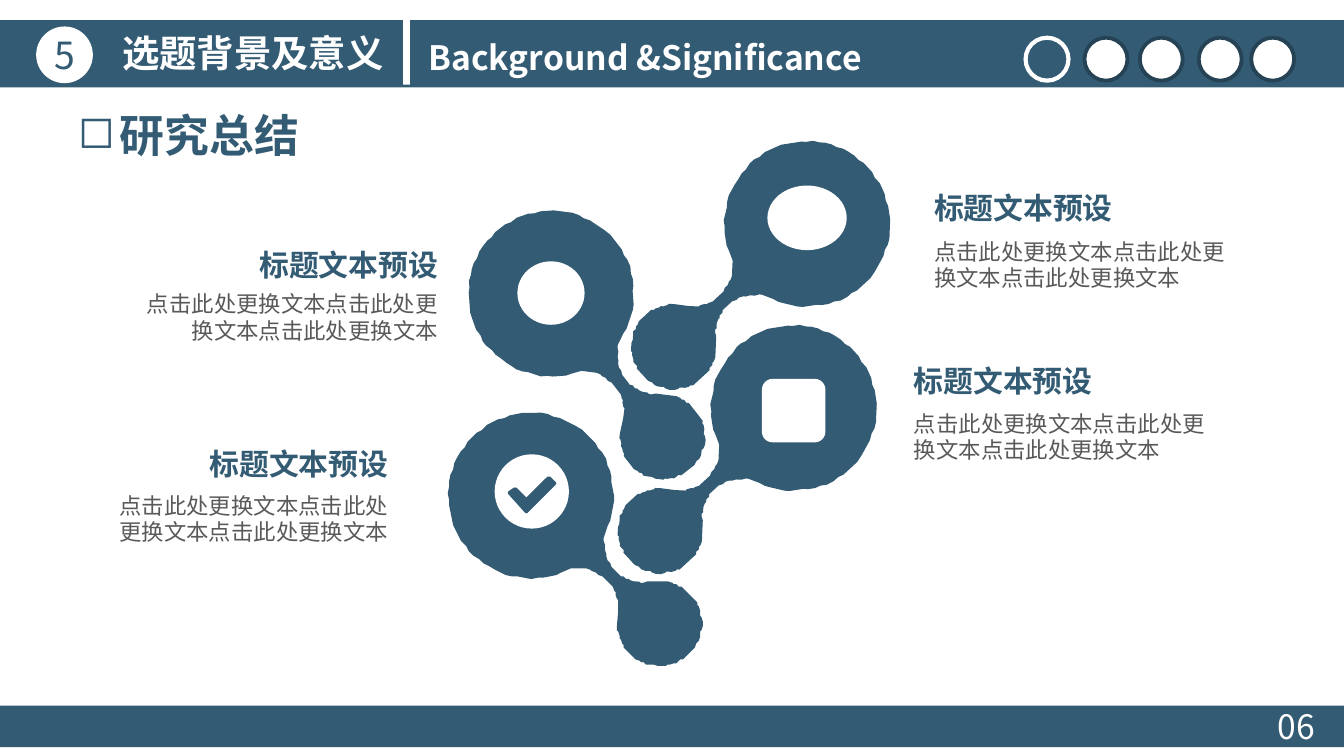
import math
from dataclasses import dataclass

from lxml import etree
from pptx import Presentation
from pptx import util as u
from pptx.dml.color import RGBColor
from pptx.enum import shapes, text
from pptx.oxml.ns import qn

Pt = u.Pt


@dataclass(frozen=True)
class Theme:
    blue: RGBColor = RGBColor(0x33, 0x5B, 0x74)
    dark: RGBColor = RGBColor(0x26, 0x43, 0x56)
    gray: RGBColor = RGBColor(0x59, 0x59, 0x59)
    white: RGBColor = RGBColor(0xFF, 0xFF, 0xFF)
    font: str = "Noto Sans CJK SC"
    title: int = 24
    banner: int = 20
    subtitle: int = 18
    heading: int = 16
    body: int = 12
    leading: float = 1.18


THEME = Theme()
SHAPE = shapes.MSO_SHAPE
LEFT, CENTER, RIGHT = text.PP_ALIGN.LEFT, text.PP_ALIGN.CENTER, text.PP_ALIGN.RIGHT
TOP, MIDDLE = text.MSO_ANCHOR.TOP, text.MSO_ANCHOR.MIDDLE

HEADING = "标题文本预设"
BODY = "点击此处更换文本" * 3

# Left, heading top, body top, width, alignment
CAPTIONS = [
    (72, 132.5, 152.6, 168.5, RIGHT),
    (494.6, 102.2, 124.6, 170.6, LEFT),
    (46.8, 239, 260.6, 167, RIGHT),
    (483.8, 194.4, 216.7, 171.4, LEFT),
]

# Left and top before turning, and the turn in degrees
LINKS = [(315.4, 199.4, 137.4), (322.6, 100.8, 137.4),
         (236.2, 142.6, 52.2), (229, 247.7, 44.9)]
BIG_RADIUS, SMALL_RADIUS, CENTER_GAP = 44.3, 22.7, 97.2

CHECK_MARK = [(273, 263.5), (276, 261.5), (282.2, 267.8),
              (294.5, 256), (297.3, 259.2), (282.3, 273.5)]


def paint(shape, fill, line=None, weight=0):
    shape.shadow.inherit = False
    if fill is None:
        shape.fill.background()
    else:
        shape.fill.solid()
        shape.fill.fore_color.rgb = fill
    if line is None:
        shape.line.fill.background()
    else:
        shape.line.color.rgb = line
        shape.line.width = Pt(weight)
    return shape


def add_preset(slide, kind, box, fill, line=None, weight=0):
    shape = slide.shapes.add_shape(kind, *map(Pt, box))
    return paint(shape, fill, line, weight)


def add_outline(slide, points, fill, left=0, top=0, line=None, weight=0):
    builder = slide.shapes.build_freeform(*points[0], scale=float(Pt(1)))
    builder.add_line_segments(points[1:], close=True)
    shape = builder.convert_to_shape(Pt(left), Pt(top))
    return paint(shape, fill, line, weight)


def write(shape, words, size, color, bold=False, align=LEFT, anchor=TOP,
          insets=(7.2, 3.6)):
    frame = shape.text_frame
    frame.word_wrap = True
    frame.vertical_anchor = anchor
    frame.margin_left = frame.margin_right = Pt(insets[0])
    frame.margin_top = frame.margin_bottom = Pt(insets[1])
    paragraph = frame.paragraphs[0]
    paragraph.text = words
    paragraph.alignment = align
    paragraph.line_spacing = Pt(size * THEME.leading)
    font = paragraph.font
    font.size, font.bold, font.name = Pt(size), bold, THEME.font
    font.color.rgb = color
    # East Asian letters take their font from a separate element
    defaults = paragraph._p.pPr.find(qn("a:defRPr"))
    etree.SubElement(defaults, qn("a:ea")).set("typeface", THEME.font)
    return paragraph


def add_label(slide, box, words, size, color, **style):
    shape = slide.shapes.add_textbox(*map(Pt, box))
    return write(shape, words, size, color, **style)


def add_bullet(paragraph, symbol, indent):
    properties = paragraph._p.get_or_add_pPr()
    properties.set("marL", str(Pt(indent)))
    properties.set("indent", str(-Pt(indent)))
    bullet = etree.Element(qn("a:buChar"))
    bullet.set("char", symbol)
    properties.find(qn("a:defRPr")).addprevious(bullet)


def arc(center_x, radius, start, end, steps=72):
    angles = [math.radians(start + (end - start) * i / steps)
              for i in range(steps + 1)]
    return [(center_x + radius * math.cos(a), radius * math.sin(a)) for a in angles]


def bezier(a, b, c, d, steps=12):
    curve = []
    for i in range(steps + 1):
        t = i / steps
        s = 1 - t
        weights = (s ** 3, 3 * s * s * t, 3 * s * t * t, t ** 3)
        curve.append(tuple(sum(w * p[k] for w, p in zip(weights, (a, b, c, d)))
                           for k in (0, 1)))
    return curve


def link_points():
    """A large and a small disc joined by a narrow neck, along a level axis."""
    neck = bezier((87.4, -13), (91, -7.3), (97.7, -3.8), (105.3, -3.3))
    neck += bezier((105.3, -3.3), (111.9, -3.7), (117.4, -6.3), (121, -10.9))[1:]
    mirrored = [(x, -y) for x, y in reversed(neck)]
    small = arc(BIG_RADIUS + CENTER_GAP, SMALL_RADIUS, -133.8, 133.8)
    big = arc(BIG_RADIUS, BIG_RADIUS, 23.4, 336.6)
    return [(x, y + BIG_RADIUS) for x, y in neck + small + mirrored + big]


def add_header(slide):
    add_preset(slide, SHAPE.RECTANGLE, (0, 10.8, 720, 36), THEME.blue)
    # Progress dots: the first is open
    for i, left in enumerate((549.4, 581, 610.6, 642.2, 670.3)):
        fill, line, weight = ((THEME.white, THEME.dark, 2) if i
                              else (None, THEME.white, 2.25))
        add_preset(slide, SHAPE.OVAL, (left, 20.2, 23, 23), fill, line, weight)
    # Section number and names
    badge = add_preset(slide, SHAPE.OVAL, (19.4, 14.2, 30.4, 30.4), THEME.white)
    write(badge, "5", THEME.banner, THEME.blue, align=CENTER, anchor=MIDDLE,
          insets=(0, 0))
    add_label(slide, (58.3, 13, 158, 31.7), "选题背景及意义",
              THEME.banner, THEME.white, bold=True)
    add_label(slide, (222.5, 16.6, 258, 28.8), "Background &Significance",
              THEME.subtitle, THEME.white, bold=True)
    add_preset(slide, SHAPE.RECTANGLE, (216, 10.8, 3.6, 34.6), THEME.white)


def add_footer(slide):
    add_preset(slide, SHAPE.RECTANGLE, (0, 378, 720, 22.3), THEME.blue)
    add_label(slide, (677.5, 375.1, 42.5, 28.8), "06", THEME.subtitle, THEME.white)


def add_caption(slide, left, heading_top, body_top, width, align):
    add_label(slide, (left, body_top, width, 34.6), BODY, THEME.body, THEME.gray,
              align=align, anchor=MIDDLE, insets=(5.8, 0))
    add_label(slide, (left, heading_top, width, 14.4), HEADING, THEME.heading,
              THEME.blue, bold=True, align=align, insets=(5.8, 0))


def add_diagram(slide):
    points = link_points()
    for left, top, turn in LINKS:
        add_outline(slide, points, THEME.blue, left, top).rotation = turn
    # Plain symbols in the large discs
    add_preset(slide, SHAPE.ROUNDED_RECTANGLE, (408.2, 203, 34, 34), THEME.white)
    add_preset(slide, SHAPE.OVAL, (411.1, 99.4, 42.5, 34.6), THEME.white)
    add_preset(slide, SHAPE.OVAL, (277.2, 140, 36, 34), THEME.white)
    # Tick in a disc
    add_preset(slide, SHAPE.OVAL, (265, 243.4, 39.8, 39.8), THEME.white)
    add_outline(slide, CHECK_MARK, THEME.blue, line=THEME.blue, weight=2)


def main():
    presentation = Presentation()
    presentation.slide_width, presentation.slide_height = Pt(720), Pt(405)
    slide = presentation.slides.add_slide(presentation.slide_layouts[6])
    add_header(slide)
    add_footer(slide)
    title = add_label(slide, (34.6, 54.7, 168.5, 36), "研究总结",
                      THEME.title, THEME.blue, bold=True)
    add_bullet(title, "◻", 22.5)
    for caption in CAPTIONS:
        add_caption(slide, *caption)
    add_diagram(slide)
    presentation.save("out.pptx")


if __name__ == "__main__":
    main()
